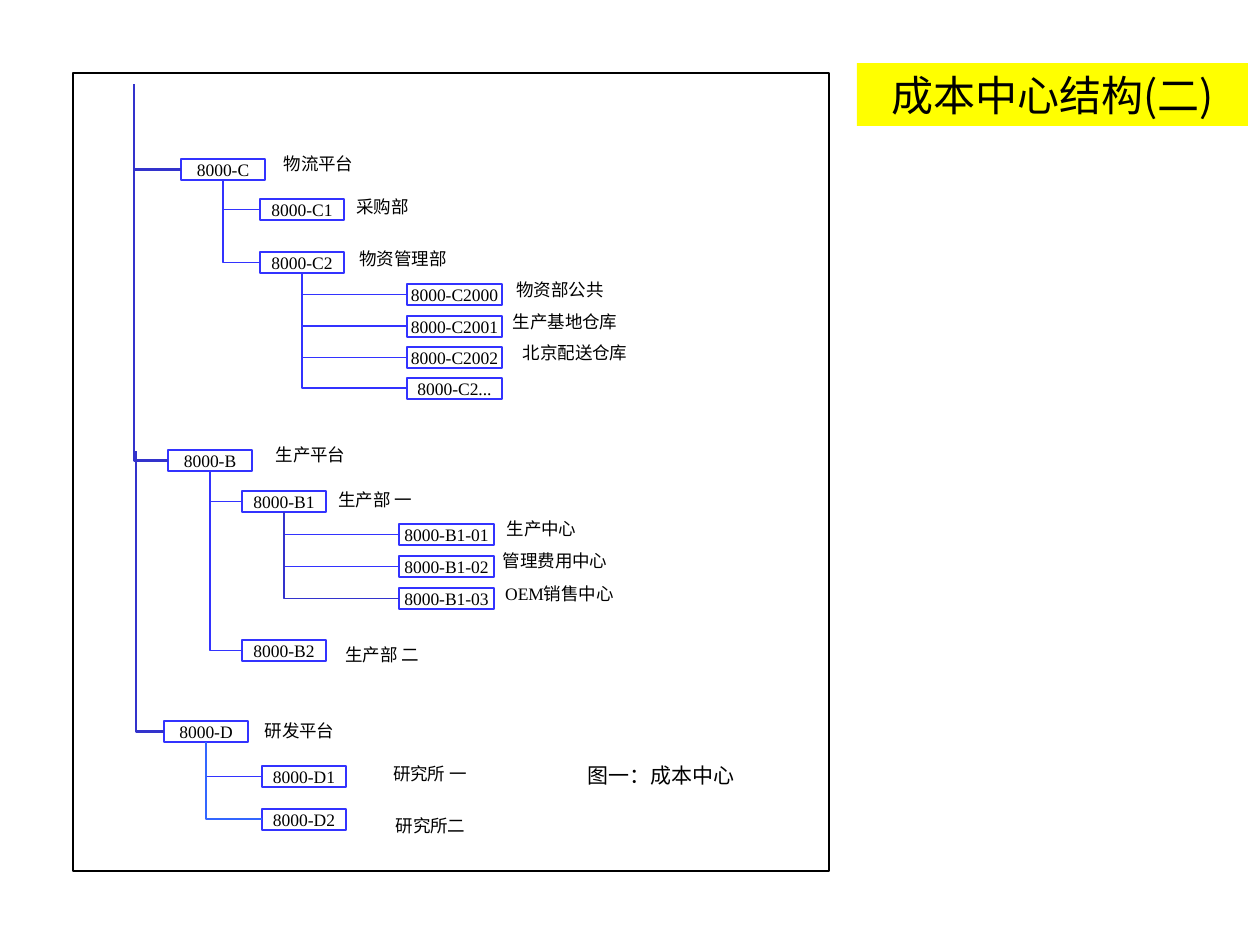
from lxml import etree
from pptx import Presentation, util as u
from pptx.dml.color import RGBColor
from pptx.enum import shapes, text
from pptx.oxml.ns import qn

PX = 914400 // 126
BLUE, DARK_BLUE, LIGHT_BLUE = "3333FF", "3333CC", "3366FF"
SERIF, SANS = "Times New Roman", "Noto Sans CJK SC"
NODE_WIDTH, LEAF_WIDTH, NODE_HEIGHT, LABEL_HEIGHT = 84, 95, 21, 34

TRUNKS = {"8000-C": (61, 11), "8000-B": (61, 11), "8000-D": (63, 378)}
BRANCH_COLORS = {"8000-B1-03": DARK_BLUE, "8000-D2": LIGHT_BLUE}

# fmt: off
NODES = [
    ("8000-C", None, 108, 86, ("物流平台", 90, -12, 95)),
    ("8000-C1", "8000-C", 187, 126, ("采购部", 84, -10, 77)),
    ("8000-C2", "8000-C", 187, 179, ("物资管理部", 87, -10, 112)),
    ("8000-C2000", "8000-C2", 334, 211, ("物资部公共", 97, -11, 112)),
    ("8000-C2001", "8000-C2", 334, 243, ("生产基地仓库", 93, -11, 130)),
    ("8000-C2002", "8000-C2", 334, 274, ("北京配送仓库", 103, -11, 130)),
    ("8000-C2...", "8000-C2", 334, 305, None),
    ("8000-B", None, 95, 377, ("生产平台", 95, -12, 95)),
    ("8000-B1", "8000-B", 169, 418, ("生产部 一", 84, -8, 98)),
    ("8000-B1-01", "8000-B1", 326, 451, ("生产中心", 95, -12, 95)),
    ("8000-B1-02", "8000-B1", 326, 483, ("管理费用中心", 91, -12, 130)),
    ("8000-B1-03", "8000-B1", 326, 515, ("OEM销售中心", 92, -11, 137)),
    ("8000-B2", "8000-B", 169, 567, ("生产部 二", 91, -2, 98)),
    ("8000-D", None, 91, 648, ("研发平台", 88, -7, 95)),
    ("8000-D1", "8000-D", 189, 693, ("研究所 一", 119, -10, 98)),
    ("8000-D2", "8000-D", 189, 736, ("研究所二", 121, 0, 95)),
]
# fmt: on


def rgb(value):
    return RGBColor.from_string(value)


def emu(*lengths):
    return [length * PX for length in lengths]


def write(shape, words, size, font=SERIF, anchor=text.MSO_ANCHOR.MIDDLE, wrap=False):
    frame = shape.text_frame
    frame.text = words
    frame.word_wrap = wrap
    frame.auto_size = text.MSO_AUTO_SIZE.NONE
    frame.vertical_anchor = anchor
    para = frame.paragraphs[0]
    para.alignment = text.PP_ALIGN.CENTER
    span = para.runs[0]
    span.font.size = u.Pt(size)
    span.font.name = font
    span.font.color.rgb = rgb("000000")


def add_box(page, left, top, width, height, line, fill=None):
    box = page.shapes.add_shape(
        shapes.MSO_SHAPE.RECTANGLE, *emu(left, top, width, height)
    )
    box.shadow.inherit = False
    if fill:
        box.fill.solid()
        box.fill.fore_color.rgb = rgb(fill)
    else:
        box.fill.background()
    box.line.color.rgb = rgb(line)
    box.line.width = u.Pt(1)
    return box


def add_label(page, words, left, top, width):
    label = page.shapes.add_textbox(*emu(left, top, width, LABEL_HEIGHT))
    write(label, words, 10)


def add_elbow(page, child, end, color, weight):
    start = child.left, child.top + child.height // 2
    elbow = page.shapes.add_connector(shapes.MSO_CONNECTOR.ELBOW, *start, *end)
    properties = elbow.element.spPr
    properties.find(qn("a:prstGeom")).set("prst", "bentConnector2")
    elbow.line.color.rgb = rgb(color)
    elbow.line.width = u.Pt(weight)
    etree.SubElement(properties, qn("a:effectLst"))
    elbow.begin_connect(child, 1)
    return elbow


def draw_title(page, left, top, width, height):
    title = page.shapes.title
    title.left, title.top, title.width, title.height = emu(left, top, width, height)
    title.fill.solid()
    title.fill.fore_color.rgb = rgb("FFFF00")
    write(title, "成本中心结构(二)", 24, SANS)


def draw_tree(page, left, top, width, height):
    add_box(page, left, top, width, height, "000000", "FFFFFF")
    boxes = {}
    for code, parent, x, y, label in NODES:
        node_width = LEAF_WIDTH if parent in ("8000-C2", "8000-B1") else NODE_WIDTH
        box = add_box(page, left + x, top + y, node_width, NODE_HEIGHT, BLUE)
        write(box, code, 10)
        boxes[code] = box
        if label:
            words, dx, dy, label_width = label
            add_label(page, words, left + x + dx, top + y + dy, label_width)
        if parent:
            above = boxes[parent]
            end = above.left + above.width // 2, above.top + above.height
            color = BRANCH_COLORS.get(code, BLUE)
            add_elbow(page, box, end, color, 1).end_connect(above, 2)
        else:
            trunk_x, trunk_y = TRUNKS[code]
            end = emu(left + trunk_x, top + trunk_y)
            add_elbow(page, box, end, DARK_BLUE, 1.5)
    caption = page.shapes.add_textbox(*emu(left + 494, top + 683, 189, 38))
    write(caption, "图一：成本中心", 12, anchor=text.MSO_ANCHOR.TOP, wrap=True)


def main():
    deck = Presentation()
    deck.slide_width, deck.slide_height = emu(1260, 945)
    page = deck.slides.add_slide(deck.slide_layouts[5])
    draw_tree(page, 73, 73, 756, 798)
    draw_title(page, 857, 63, 391, 63)
    deck.save("out.pptx")


if __name__ == "__main__":
    main()
